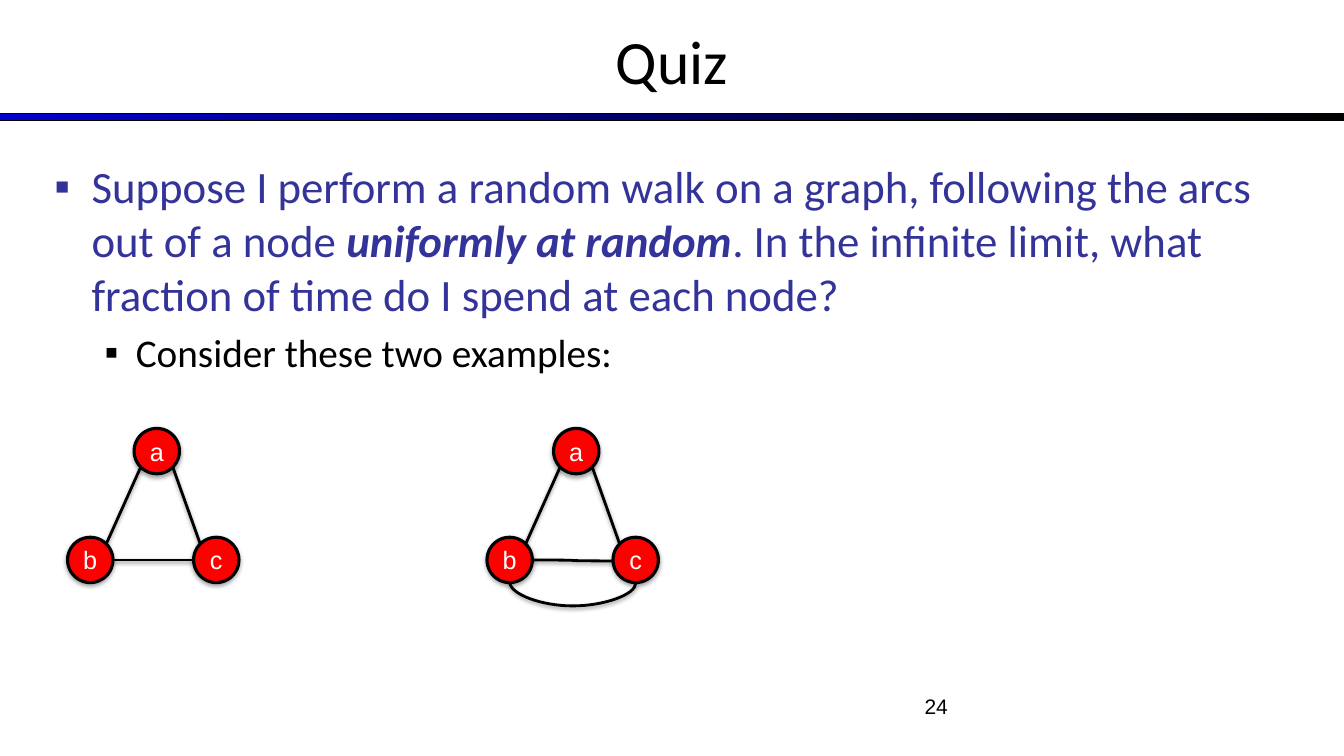
"""Build the quiz slide about random walks on two small graphs."""
from math import cos, radians, sin

from lxml.etree import SubElement
from pptx import Presentation
from pptx.dml.color import RGBColor
from pptx.enum.shapes import MSO_CONNECTOR as Link, MSO_SHAPE as Shape
from pptx.enum.text import MSO_ANCHOR as Anchor, PP_ALIGN as Align
from pptx.oxml.ns import qn
from pptx.util import Inches, Pt

TITLE = "Quiz"
NUMBER = "24"
BODY = [
    {"runs": [("Suppose I perform a random walk on a graph, following the arcs out of a node ", False),
              ("uniformly at random", True),
              (". In the infinite limit, what fraction of time do I spend at each node?", False)],
     "size": 32, "color": "333399", "left": 0.37, "hang": 0.37, "before": 0},
    {"runs": [("Consider these two examples:", False)],
     "size": 28, "color": "000000", "left": 0.81, "hang": 0.31, "before": 5.6},
]
NODES = {"a": (0.66, 0), "c": (1.25, 1.08), "b": (0, 1.08)}
SIDES = [("a", 135, "b", 315), ("a", 45, "c", 225)]
GRAPHS = [(0.67, 4.25, False), (4.83, 4.25, True)]
DIAM = 0.45
SAG = 0.24


def tint(code):
    return RGBColor.from_string(code)


def style(font, name, size, color):
    font.name, font.size, font.color.rgb = name, Pt(size), tint(color)


def shade(item, dist, alpha):
    props = item._element.spPr
    effects = props.find(qn("a:effectLst"))
    if effects is None:
        effects = SubElement(props, qn("a:effectLst"))
    shadow = SubElement(effects, qn("a:outerShdw"), blurRad=str(Pt(3.1)), dist=str(Pt(dist)),
                        dir="5400000", rotWithShape="0")
    color = SubElement(shadow, qn("a:srgbClr"), val="000000")
    SubElement(color, qn("a:alpha"), val=str(alpha * 1000))


def bullet(para, item):
    props = para._p.get_or_add_pPr()
    props.set("marL", str(Inches(item["left"])))
    props.set("indent", str(-Inches(item["hang"])))
    color = SubElement(props, qn("a:buClr"))
    SubElement(color, qn("a:srgbClr"), val=item["color"])
    SubElement(props, qn("a:buFont"), typeface="Arial")
    SubElement(props, qn("a:buChar"), char="▪")


def add_node(slide, label, x, y):
    node = slide.shapes.add_shape(Shape.OVAL, Inches(x), Inches(y), Inches(DIAM), Inches(DIAM))
    node.fill.solid()
    node.fill.fore_color.rgb = tint("FF0000")
    node.line.color.rgb = tint("000000")
    node.line.width = Pt(2.25)
    node.shadow.inherit = False
    shade(node, 1.8, 35)
    frame = node.text_frame
    frame.margin_left = frame.margin_right = frame.margin_top = frame.margin_bottom = 0
    frame.vertical_anchor = Anchor.MIDDLE
    frame.text = label
    frame.paragraphs[0].alignment = Align.CENTER
    style(frame.paragraphs[0].runs[0].font, "Arial", 18, "FFFFFF")


def add_edge(slide, kind, start, end):
    edge = slide.shapes.add_connector(kind, *(Inches(v) for v in (*start, *end)))
    edge.line.color.rgb = tint("000000")
    edge.line.width = Pt(2)
    shade(edge, 1.6, 38)
    return edge


def add_arc(slide, start, end):
    mid, span, thin = (start[0] + end[0]) / 2, end[0] - start[0], 0.01
    top = start[1] - span / 2
    arc = add_edge(slide, Link.CURVE, (mid + thin / 2, top), (mid - thin / 2, top + span))
    props = arc._element.spPr
    props.find(qn("a:xfrm")).set("rot", "16200000")
    guides = props.find(qn("a:prstGeom")).find(qn("a:avLst"))
    SubElement(guides, qn("a:gd"), name="adj1", fmla=f"val {round(SAG / thin * 100000)}")


def add_graph(slide, left, top, double):
    def rim(name, angle):
        x, y = NODES[name]
        turn, half = radians(angle), DIAM / 2
        return left + x + half + half * cos(turn), top + y + half + half * sin(turn)

    for name, (x, y) in NODES.items():
        add_node(slide, name, left + x, top + y)
    for first, out, last, into in SIDES:
        add_edge(slide, Link.STRAIGHT, rim(first, out), rim(last, into))
    start, end = rim("b", 0), rim("c", 180)
    if double:
        add_arc(slide, rim("b", 90), rim("c", 90))
        add_edge(slide, Link.CURVE, start, (end[0], end[1] + 0.01))
    else:
        add_edge(slide, Link.STRAIGHT, end, start)


def add_bar(slide):
    bar = slide.shapes.add_shape(Shape.RECTANGLE, 0, Inches(1.13), Inches(13.33), Inches(0.07))
    bar.shadow.inherit = False
    bar.fill.gradient()
    bar.fill.gradient_angle = 0
    for stop, color in zip(bar.fill.gradient_stops, ("0000CC", "000000")):
        stop.color.rgb = tint(color)
    bar.line.color.rgb = tint("000000")
    bar.line.width = Pt(0.75)


def add_text(slide, x, y, wide, high):
    box = slide.shapes.add_textbox(Inches(x), Inches(y), Inches(wide), Inches(high))
    box.text_frame.word_wrap = True
    return box.text_frame


def main():
    deck = Presentation()
    deck.slide_width, deck.slide_height = Inches(13.33), Inches(7.5)
    slide = deck.slides.add_slide(deck.slide_layouts[5])
    add_bar(slide)

    title = slide.shapes.title
    title.left, title.top, title.width, title.height = (Inches(v) for v in (0, -0.03, 13.33, 1.25))
    title.text_frame.text = TITLE
    title.text_frame.vertical_anchor = Anchor.MIDDLE
    title.text_frame.paragraphs[0].alignment = Align.CENTER
    style(title.text_frame.paragraphs[0].runs[0].font, "Calibri", 44, "000000")

    body = add_text(slide, 0.44, 1.53, 12.44, 5.17)
    for i, item in enumerate(BODY):
        para = body.add_paragraph() if i else body.paragraphs[0]
        para.space_before = Pt(item["before"])
        bullet(para, item)
        for text, strong in item["runs"]:
            run = para.add_run()
            run.text = text
            style(run.font, "Calibri", item["size"], item["color"])
            run.font.bold = run.font.italic = strong

    number = add_text(slide, 7.17, 6.83, 2.33, 0.52)
    number.text = NUMBER
    number.paragraphs[0].alignment = Align.RIGHT
    style(number.paragraphs[0].runs[0].font, "Arial", 15, "000000")

    for left, top, double in GRAPHS:
        add_graph(slide, left, top, double)
    deck.save("out.pptx")


if __name__ == "__main__":
    main()
